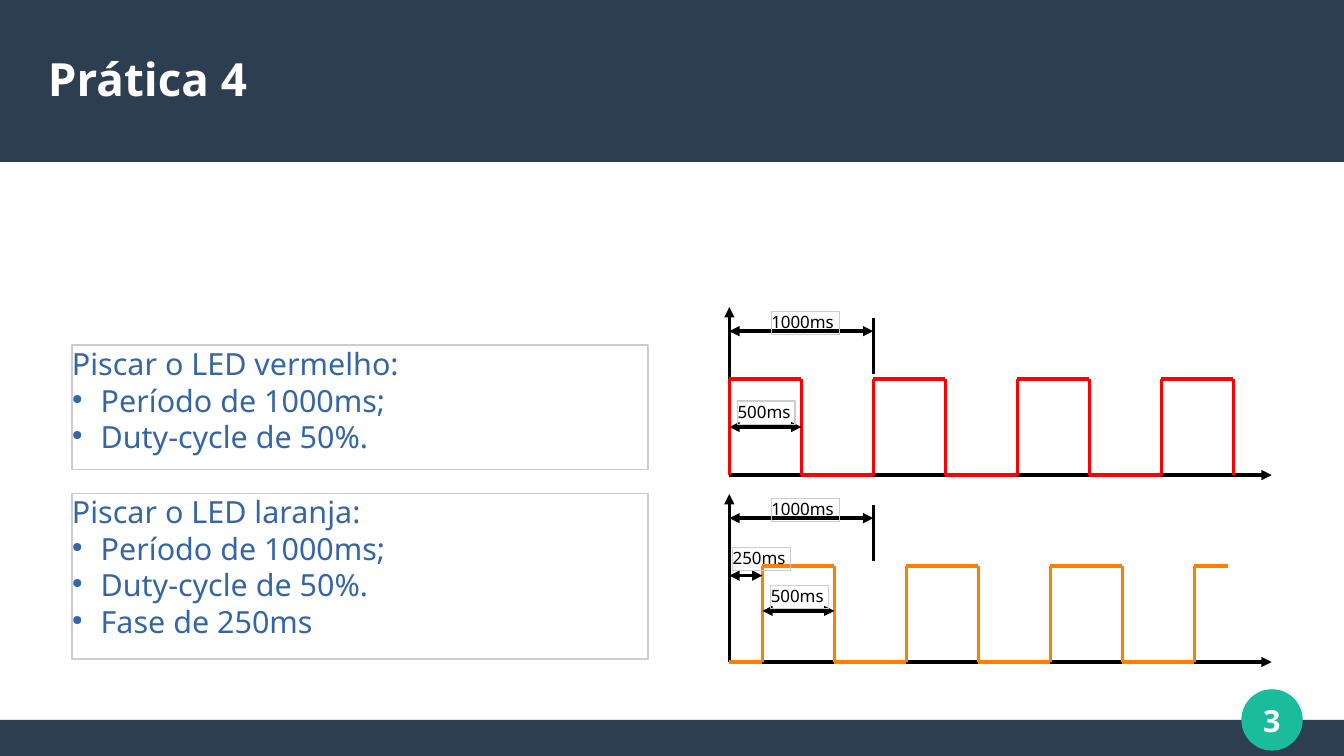
from itertools import pairwise

from lxml.etree import SubElement
from pptx import Presentation
from pptx.dml.color import RGBColor
from pptx.enum.shapes import MSO_CONNECTOR, MSO_SHAPE
from pptx.enum.text import MSO_ANCHOR, PP_ALIGN
from pptx.oxml.ns import qn
from pptx.util import Pt

FONT = "Noto Sans"
NAVY, TEAL, WHITE, BLACK = "2C3E50", "1ABC9C", "FFFFFF", "000000"
BLUE, GREY, RED, ORANGE = "3465A4", "CCCCCC", "FF0000", "FF8000"
SLIDE_WIDTH, SLIDE_HEIGHT = 793.7, 446.5
AXIS_LEFT, AXIS_RIGHT, AXIS_HEIGHT = 430.7, 751, 99.2
HALF_PERIOD, AMPLITUDE = 42.52, 56.7
LABEL_HEIGHT = 13.7


def color(hex_code):
    return RGBColor.from_string(hex_code)


def add_panel(slide, kind, left, top, width, height, fill=None, outline=None, weight=0):
    panel = slide.shapes.add_shape(kind, Pt(left), Pt(top), Pt(width), Pt(height))
    panel.shadow.inherit = False
    if fill:
        panel.fill.solid()
        panel.fill.fore_color.rgb = color(fill)
    else:
        panel.fill.background()
    if outline:
        panel.line.color.rgb = color(outline)
        panel.line.width = Pt(weight)
    else:
        panel.line.fill.background()
    return panel


def add_bullet(paragraph):
    properties = paragraph._p.get_or_add_pPr()
    properties.set("marL", str(Pt(17)))
    properties.set("indent", str(Pt(-17)))
    bullet_color = SubElement(properties, qn("a:buClr"))
    SubElement(bullet_color, qn("a:srgbClr"), val=BLUE)
    SubElement(properties, qn("a:buSzPct"), val="45000")
    SubElement(properties, qn("a:buChar"), char="●")


def write(shape, lines, size, ink, bold=False, align=PP_ALIGN.LEFT,
          anchor=MSO_ANCHOR.TOP, wrap=True, spacing=None):
    frame = shape.text_frame
    frame.margin_left = frame.margin_right = frame.margin_top = frame.margin_bottom = 0
    frame.word_wrap = wrap
    frame.vertical_anchor = anchor
    for index, line in enumerate(lines):
        paragraph = frame.add_paragraph() if index else frame.paragraphs[0]
        paragraph.alignment = align
        if spacing:
            paragraph.line_spacing = spacing
        if index:
            add_bullet(paragraph)
        run = paragraph.add_run()
        run.text = line
        run.font.name = FONT
        run.font.size = Pt(size)
        run.font.bold = bold
        run.font.color.rgb = color(ink)


def add_text(slide, text, left, top, width, height, **text_format):
    box = slide.shapes.add_textbox(Pt(left), Pt(top), Pt(width), Pt(height))
    write(box, [text], anchor=MSO_ANCHOR.MIDDLE, **text_format)


def add_line(slide, start, end, ink=BLACK, arrows=()):
    line = slide.shapes.add_connector(
        MSO_CONNECTOR.STRAIGHT, Pt(start[0]), Pt(start[1]), Pt(end[0]), Pt(end[1]))
    line.line.color.rgb = color(ink)
    line.line.width = Pt(0)
    for arrow in arrows:
        SubElement(line.line._get_or_add_ln(), qn(f"a:{arrow}"), type="triangle")
    SubElement(line._element.spPr, qn("a:effectLst"))


def add_task(slide, top, height, lines):
    task = add_panel(slide, MSO_SHAPE.RECTANGLE, 42.5, top, 340.2, height, outline=GREY)
    write(task, lines, size=18, ink=BLUE)


def add_span(slide, text, start, end, y, label_left, label_top, label_width):
    add_line(slide, (start, y), (end, y), arrows=("headEnd", "tailEnd"))
    label = add_panel(slide, MSO_SHAPE.RECTANGLE, label_left, label_top,
                      label_width, LABEL_HEIGHT, outline=GREY)
    write(label, [text], size=10, ink=BLACK, wrap=False)


def add_axes(slide, base):
    origin = (AXIS_LEFT, base)
    add_line(slide, origin, (AXIS_LEFT, base - AXIS_HEIGHT), arrows=("tailEnd",))
    add_line(slide, origin, (AXIS_RIGHT, base), arrows=("tailEnd",))


def add_wave(slide, points, ink):
    for start, end in pairwise(points):
        add_line(slide, start, end, ink)


def square_wave(start, base, edges):
    points = []
    for edge in range(edges):
        x = start + edge * HALF_PERIOD
        levels = (base, base - AMPLITUDE)
        points += [(x, y) for y in (levels if edge % 2 == 0 else levels[::-1])]
    return points


def add_period(slide, base):
    end = AXIS_LEFT + 2 * HALF_PERIOD
    add_line(slide, (end, base - 59.5), (end, base - 92.7))
    add_span(slide, "1000ms", AXIS_LEFT, end, base - 85, 455.5, base - 96.6, 40.3)


def add_red_diagram(slide, base):
    add_axes(slide, base)
    add_wave(slide, square_wave(AXIS_LEFT, base, 8), RED)
    add_period(slide, base)
    add_span(slide, "500ms", AXIS_LEFT, AXIS_LEFT + HALF_PERIOD, base - 28.4,
             435.6, base - 43.7, 34)


def add_orange_diagram(slide, base):
    phase_end = AXIS_LEFT + 19.5
    add_axes(slide, base)
    pulses = square_wave(phase_end, base, 7)[:-1]
    pulses += [(phase_end + 6 * HALF_PERIOD, base - AMPLITUDE),
               (725.3, base - AMPLITUDE)]
    add_wave(slide, [(AXIS_LEFT, base)] + pulses, ORANGE)
    add_period(slide, base)
    add_span(slide, "500ms", phase_end, phase_end + HALF_PERIOD, base - 30.2,
             455.2, base - 45.3, 34)
    add_span(slide, "250ms", AXIS_LEFT, phase_end, base - 51, 432.7, base - 67.5, 34)


def main():
    presentation = Presentation()
    presentation.slide_width, presentation.slide_height = Pt(SLIDE_WIDTH), Pt(SLIDE_HEIGHT)
    slide = presentation.slides.add_slide(presentation.slide_layouts[6])
    add_panel(slide, MSO_SHAPE.RECTANGLE, 0, 425.2, SLIDE_WIDTH, 21.3, fill=NAVY)
    add_panel(slide, MSO_SHAPE.RECTANGLE, 0, 0, SLIDE_WIDTH, 95.7, fill=NAVY)
    add_panel(slide, MSO_SHAPE.OVAL, 733.5, 407.5, 35.4, 35.4,
              fill=TEAL, outline=TEAL, weight=0.85)
    add_text(slide, "3", 722.8, 404, 56.7, 42.5, size=18, ink=WHITE, bold=True,
             align=PP_ALIGN.CENTER)
    add_text(slide, "Prática 4", 28.3, 18.1, 737, 56.7, size=27, ink=WHITE, bold=True)
    add_task(slide, 203.8, 73.4,
             ["Piscar o LED vermelho:", "Período de 1000ms;", "Duty-cycle de 50%."])
    add_red_diagram(slide, 280.6)
    add_task(slide, 291.3, 98,
             ["Piscar o LED laranja:", "Período de 1000ms;", "Duty-cycle de 50%.",
              "Fase de 250ms"])
    add_orange_diagram(slide, 391)
    presentation.save("out.pptx")


if __name__ == "__main__":
    main()
